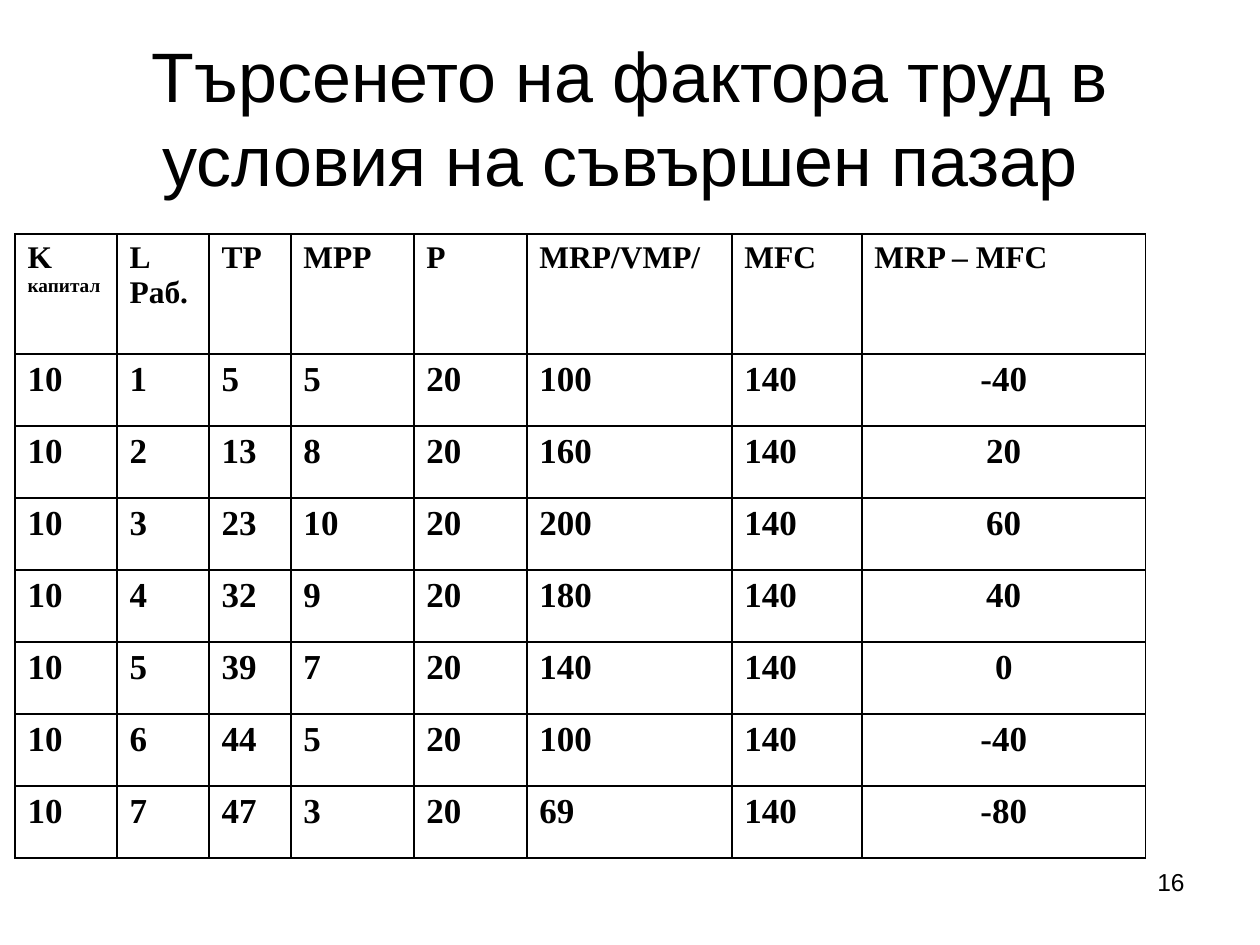
from lxml.etree import SubElement
from pptx import Presentation
from pptx.dml.color import RGBColor
from pptx.enum.text import MSO_ANCHOR, PP_ALIGN
from pptx.oxml.ns import qn
from pptx.util import Pt

PX = 914400 // 126
COLORS = {"ink": "000000"}
TITLE = "Търсенето на фактора труд в условия на съвършен пазар "
PAGE = "16"
HEADERS = ["K\nкапитал", "L\nРаб.", "TP", "MPP", "P", "MRP/VMP/", "MFC", "MRP – MFC"]
ROWS = [
    (10, 1, 5, 5, 20, 100, 140, -40),
    (10, 2, 13, 8, 20, 160, 140, 20),
    (10, 3, 23, 10, 20, 200, 140, 60),
    (10, 4, 32, 9, 20, 180, 140, 40),
    (10, 5, 39, 7, 20, 140, 140, 0),
    (10, 6, 44, 5, 20, 100, 140, -40),
    (10, 7, 47, 3, 20, 69, 140, -80),
]
COL_WIDTHS = [102, 92, 82, 123, 113, 205, 130, 284]
HEADER_HEIGHT, ROW_HEIGHT = 120, 72
TABLE_LEFT, TABLE_TOP = 15, 234
INDENT = 48


def style(p, size, font, align, bold=False):
    p.alignment = align
    for r in p.runs:
        r.font.size, r.font.name, r.font.bold = Pt(size), font, bold
        r.font.color.rgb = RGBColor.from_string(COLORS["ink"])


def add_text(slide, box, text, size, align, anchor):
    sp = slide.shapes.add_textbox(*(v * PX for v in box))
    tf = sp.text_frame
    tf.word_wrap = True
    tf.vertical_anchor = anchor
    tf.text = text
    style(tf.paragraphs[0], size, "Arial", align)


def add_borders(cell):
    tc_pr = cell._tc.get_or_add_tcPr()
    for side in ("lnL", "lnR", "lnT", "lnB"):
        ln = SubElement(tc_pr, qn(f"a:{side}"), w=str(Pt(1)))
        fill = SubElement(ln, qn("a:solidFill"))
        SubElement(fill, qn("a:srgbClr"), val=COLORS["ink"])


def fill_cell(cell, text, size, align):
    add_borders(cell)
    cell.fill.background()
    cell.text = text
    for p in cell.text_frame.paragraphs:
        p_pr = p._p.get_or_add_pPr()
        p_pr.set("marL", str(INDENT * PX))
        p_pr.set("indent", str(-INDENT * PX))
        style(p, 11 if p.text == "капитал" else size, "Times New Roman", align, bold=True)


def add_factor_table(slide):
    cells = [HEADERS] + ROWS
    heights = [HEADER_HEIGHT] + [ROW_HEIGHT] * len(ROWS)
    table = slide.shapes.add_table(
        len(cells), len(HEADERS), TABLE_LEFT * PX, TABLE_TOP * PX,
        sum(COL_WIDTHS) * PX, sum(heights) * PX).table
    table.first_row = table.horz_banding = False
    for col, width in zip(table.columns, COL_WIDTHS):
        col.width = width * PX
    last = len(HEADERS) - 1
    for i, (values, height) in enumerate(zip(cells, heights)):
        table.rows[i].height = height * PX
        for j, value in enumerate(values):
            align = PP_ALIGN.CENTER if i and j == last else PP_ALIGN.LEFT
            fill_cell(table.cell(i, j), str(value), 20 if i else 18, align)


def main():
    prs = Presentation()
    prs.slide_width, prs.slide_height = 1260 * PX, 945 * PX
    slide = prs.slides.add_slide(prs.slide_layouts[6])
    add_factor_table(slide)
    add_text(slide, (63, 38, 1134, 157), TITLE, 40, PP_ALIGN.CENTER, MSO_ANCHOR.MIDDLE)
    add_text(slide, (903, 861, 294, 65), PAGE, 14, PP_ALIGN.RIGHT, MSO_ANCHOR.TOP)
    prs.save("out.pptx")


if __name__ == "__main__":
    main()
